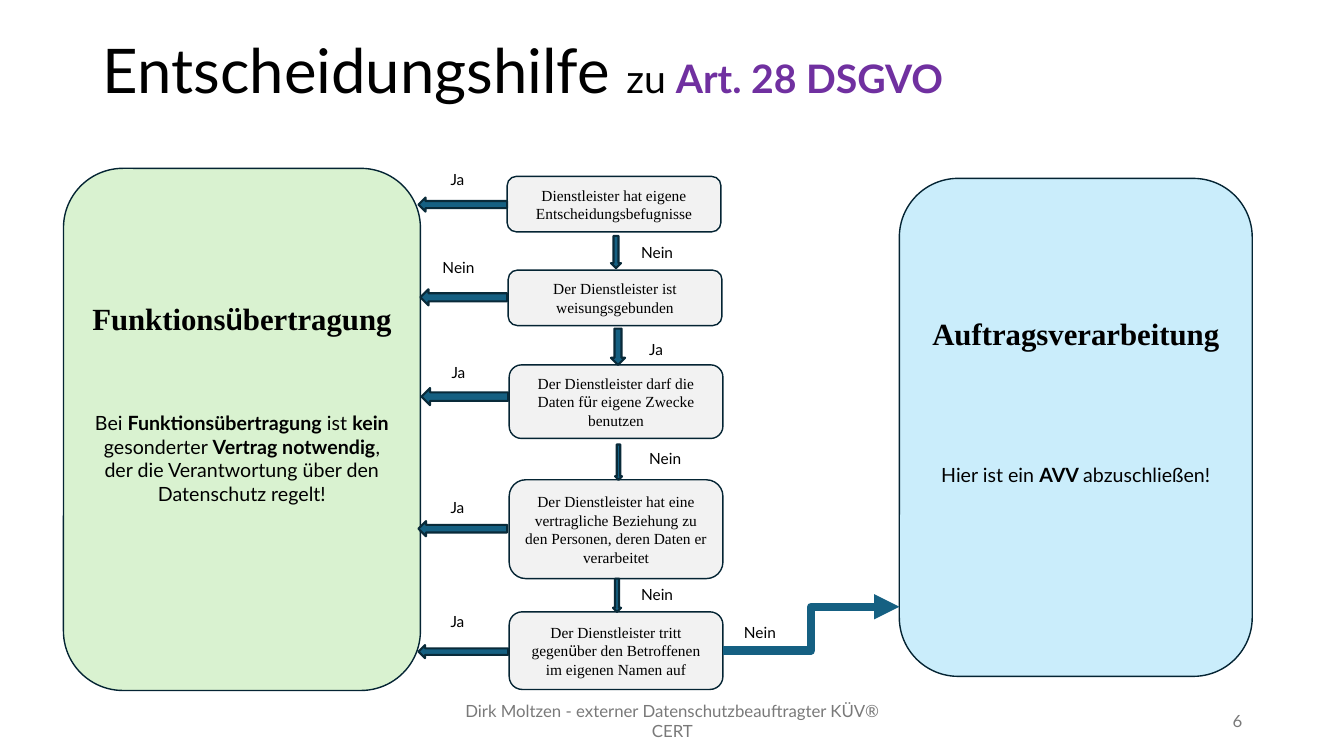
from lxml import etree
from pptx import Presentation
from pptx import util as u
from pptx.dml.color import RGBColor
from pptx.enum import shapes, text
from pptx.oxml import ns

BLACK = RGBColor(0x00, 0x00, 0x00)
WHITE = RGBColor(0xFF, 0xFF, 0xFF)
PURPLE = RGBColor(0x70, 0x30, 0xA0)
GREY = RGBColor(0x79, 0x79, 0x79)
PALE_GREY = RGBColor(0xF2, 0xF2, 0xF2)
GREEN = RGBColor(0xD9, 0xF2, 0xD0)
SKY = RGBColor(0xCA, 0xED, 0xFB)
NAVY = RGBColor(0x04, 0x24, 0x33)
TEAL = RGBColor(0x15, 0x60, 0x82)
DARK_TEAL = RGBColor(0x09, 0x2A, 0x39)
SANS, SERIF = "Lato", "Times New Roman"
CENTER, LEFT, RIGHT = text.PP_ALIGN.CENTER, text.PP_ALIGN.LEFT, text.PP_ALIGN.RIGHT
Kind = shapes.MSO_SHAPE


def write(paragraph, runs, align, color=BLACK):
    """Add runs given as (wording, size, font, bold)."""
    paragraph.alignment = align
    for wording, size, font, bold in runs:
        run = paragraph.add_run()
        run.text = wording
        run.font.size = u.Pt(size)
        run.font.name = font
        run.font.bold = bold
        run.font.color.rgb = color


def draw(kind, box, fill, line, width):
    part = slide.shapes.add_shape(kind, *map(u.Inches, box))
    part.shadow.inherit = False
    part.fill.solid()
    part.fill.fore_color.rgb = fill
    part.line.color.rgb = line
    part.line.width = u.Pt(width)
    part.text_frame.word_wrap = True
    part.text_frame.vertical_anchor = text.MSO_ANCHOR.MIDDLE
    return part


deck = Presentation()
deck.slide_width, deck.slide_height = u.Inches(13.33), u.Inches(7.5)
slide = deck.slides.add_slide(deck.slide_layouts[5])

# Title
title = slide.shapes.title
title.left, title.top = u.Inches(0.92), u.Inches(0.4)
title.width, title.height = u.Inches(11.5), u.Inches(1.12)
title.text_frame.auto_size = text.MSO_AUTO_SIZE.NONE
title.text_frame.vertical_anchor = text.MSO_ANCHOR.MIDDLE
heading = title.text_frame.paragraphs[0]
heading.line_spacing = 0.9
write(heading, [("Entscheidungshilfe ", 44, SANS, False), ("zu ", 28, SANS, False)], LEFT)
write(heading, [("Art. 28 DSGVO", 28, SANS, True)], LEFT, PURPLE)
heading.add_line_break()
heading.font.size = u.Pt(28)

# Footer and page number
for left, width, wording, align in [
    (4.42, 4.5, "Dirk Moltzen - externer Datenschutzbeauftragter KÜV® CERT", CENTER),
    (9.42, 3, "6", RIGHT),
]:
    footer = slide.shapes.add_textbox(
        u.Inches(left), u.Inches(6.95), u.Inches(width), u.Inches(0.4))
    footer.text_frame.word_wrap = True
    footer.text_frame.vertical_anchor = text.MSO_ANCHOR.MIDDLE
    write(footer.text_frame.paragraphs[0], [(wording, 12, SANS, False)], align, GREY)

# Answers beside the arrows
for left, top, answer in [
    (6.34, 3.32, "Ja"), (6.26, 2.36, "Nein"), (6.34, 4.41, "Nein"),
    (6.26, 5.76, "Nein"), (7.28, 6.13, "Nein"), (4.29, 2.51, "Nein"),
    (4.37, 1.64, "Ja"), (4.38, 3.55, "Ja"), (4.37, 4.89, "Ja"), (4.37, 6.02, "Ja"),
]:
    label = slide.shapes.add_textbox(
        u.Inches(left), u.Inches(top), u.Inches(0.55), u.Inches(0.32))
    label.fill.solid()
    label.fill.fore_color.rgb = WHITE
    label.text_frame.word_wrap = True
    write(label.text_frame.paragraphs[0], [(answer, 11, SANS, False)], LEFT)

# Questions, top to bottom
for left, top, height, pieces in [
    (5.03, 1.75, 0.55, [("Dienstleister hat eigene Entscheidungsbefugnisse", SERIF)]),
    (5.04, 2.68, 0.55, [("Der Dienstleister ist weisungsgebunden", SERIF)]),
    (5.05, 3.62, 0.73, [("Der Dienstleister darf die Daten f", SERIF), ("ü", SANS),
                        ("r eigene Zwecke benutzen", SERIF)]),
    (5.05, 4.76, 0.98, [("Der Dienstleister hat eine vertragliche Beziehung zu den "
                         "Personen, deren Daten er verarbeitet", SERIF)]),
    (5.05, 6.07, 0.77, [("Der Dienstleister tritt gegen", SERIF), ("ü", SANS),
                        ("ber den Betroffenen im eigenen Namen auf", SERIF)]),
]:
    question = draw(Kind.FLOWCHART_ALTERNATE_PROCESS, (left, top, 2.12, height),
                    PALE_GREY, NAVY, 1)
    write(question.text_frame.paragraphs[0],
          [(wording, 11, font, False) for wording, font in pieces], CENTER)

# The two outcomes
for box, fill, gap, name, advice in [
    ((0.63, 1.67, 3.54, 5.18), GREEN, 53,
     [("Funktions", SERIF), ("ü", SANS), ("bertragung", SERIF)],
     [("Bei ", False), ("Funktionsübertragung", True), (" ist ", False), ("kein", True),
      (" gesonderter ", False), ("Vertrag notwendig", True),
      (", der die Verantwortung über den Datenschutz regelt!", False)]),
    ((8.92, 1.77, 3.5, 4.94), SKY, 79,
     [("Auftragsverarbeitung", SERIF)],
     [("Hier ist ein ", False), ("AVV ", True), ("abzuschließen!", False)]),
]:
    outcome = draw(Kind.FLOWCHART_ALTERNATE_PROCESS, box, fill, NAVY, 1)
    frame = outcome.text_frame
    frame.margin_bottom = u.Inches(0.58)
    write(frame.paragraphs[0], [(wording, 22, font, True) for wording, font in name], CENTER)
    detail = frame.add_paragraph()
    detail.space_before = u.Pt(gap)
    write(detail, [(wording, 14, SANS, bold) for wording, bold in advice], CENTER)

# Block arrows: left to the outcome, down to the next question
for kind, boxes in [
    (Kind.LEFT_ARROW, [(4.17, 2.87, 0.86, 0.16), (4.15, 1.96, 0.88, 0.14),
                       (4.18, 3.85, 0.86, 0.17), (4.15, 5.17, 0.88, 0.15),
                       (4.15, 6.4, 0.89, 0.13)]),
    (Kind.DOWN_ARROW, [(6.06, 2.34, 0.1, 0.32), (6.06, 3.26, 0.14, 0.36),
                       (6.1, 4.41, 0.07, 0.35), (6.08, 5.74, 0.08, 0.33)]),
]:
    for box in boxes:
        draw(kind, box, TEAL, DARK_TEAL, 1.5)

# Last "Nein" leads from the final question to the right-hand outcome
last_no = slide.shapes.add_connector(
    shapes.MSO_CONNECTOR.ELBOW,
    u.Inches(7.17), u.Inches(6.46), u.Inches(8.92), u.Inches(6.02))
last_no.begin_connect(question, 3)
last_no.line.color.rgb = TEAL
last_no.line.width = u.Pt(6)
etree.SubElement(last_no.line._get_or_add_ln(), ns.qn("a:tailEnd"), type="triangle")
etree.SubElement(last_no._element.spPr, ns.qn("a:effectLst"))

deck.save("out.pptx")
